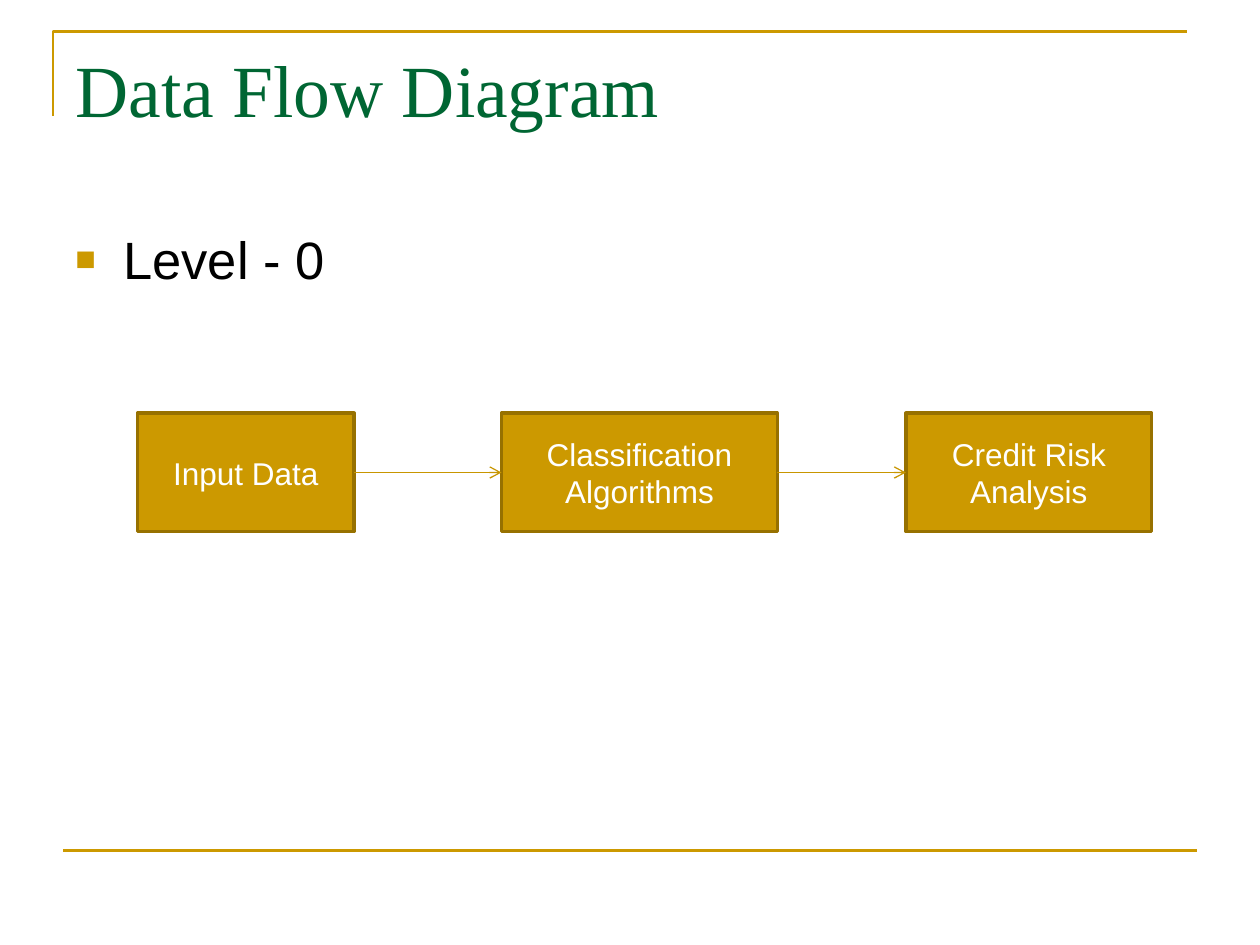
import pptx
import pptx.util
import pptx.dml.color
import pptx.enum.shapes
import pptx.enum.text
import pptx.oxml
import pptx.oxml.ns
import lxml.etree
from dataclasses import dataclass

Inches = pptx.util.Inches
Pt = pptx.util.Pt
qn = pptx.oxml.ns.qn


@dataclass(frozen=True)
class Theme:
    gold: str = "CC9900"
    dark_gold: str = "977100"
    arrow: str = "C89600"
    green: str = "006633"
    black: str = "000000"
    white: str = "FFFFFF"
    serif: str = "Times New Roman"
    sans: str = "Arial"
    title_size: int = 42
    body_size: int = 30
    box_size: int = 18


THEME = Theme()


def rgb(code):
    return pptx.dml.color.RGBColor.from_string(code)


def style_font(para, name, size, color):
    para.font.name = name
    para.font.size = Pt(size)
    para.font.color.rgb = rgb(color)


def style_line(shape, color, width):
    shape.line.color.rgb = rgb(color)
    shape.line.width = Pt(width)


def set_title(page, text):
    title = page.shapes.title
    title.left, title.top = Inches(0.5), Inches(0.3)
    title.width, title.height = Inches(9), Inches(1.25)
    frame = title.text_frame
    frame.text = text
    frame.word_wrap = True
    frame.vertical_anchor = pptx.enum.text.MSO_ANCHOR.TOP
    para = frame.paragraphs[0]
    para.alignment = pptx.enum.text.PP_ALIGN.LEFT
    style_font(para, THEME.serif, THEME.title_size, THEME.green)


def add_corner(page):
    builder = page.shapes.build_freeform(Inches(0.42), Inches(0.92))
    builder.add_line_segments(
        [(Inches(0.42), Inches(0.25)), (Inches(9.42), Inches(0.25))], close=False)
    corner = builder.convert_to_shape()
    corner.shadow.inherit = False
    corner.fill.background()
    style_line(corner, THEME.gold, 1.5)


def add_line(page, start, end, color, width):
    line = page.shapes.add_connector(
        pptx.enum.shapes.MSO_CONNECTOR.STRAIGHT, *map(Inches, start + end))
    style_line(line, color, width)
    lxml.etree.SubElement(line._element.spPr, qn("a:effectLst"))
    return line


def add_bullet_text(page, text):
    body = page.shapes.add_textbox(Inches(0.5), Inches(1.75), Inches(9), Inches(4.95))
    frame = body.text_frame
    frame.word_wrap = True
    para = frame.paragraphs[0]
    para.text = text
    para.space_before = Pt(0.2 * THEME.body_size)
    style_font(para, THEME.sans, THEME.body_size, THEME.black)
    # Square bullet with a hanging indent
    props = para._p.get_or_add_pPr()
    props.set("marL", str(Inches(0.38)))
    props.set("indent", str(Inches(-0.38)))
    color = lxml.etree.Element(qn("a:buClr"))
    lxml.etree.SubElement(color, qn("a:srgbClr"), val=THEME.gold)
    size = lxml.etree.Element(qn("a:buSzPct"), val="65000")
    font = lxml.etree.Element(qn("a:buFont"), typeface=THEME.sans)
    char = lxml.etree.Element(qn("a:buChar"), char="■")
    for element in (color, size, font, char):
        props.find(qn("a:defRPr")).addprevious(element)


def add_box(page, text, left, width):
    box = page.shapes.add_shape(
        pptx.enum.shapes.MSO_SHAPE.RECTANGLE,
        Inches(left), Inches(3.28), Inches(width), Inches(0.94))
    box.shadow.inherit = False
    box.fill.solid()
    box.fill.fore_color.rgb = rgb(THEME.gold)
    style_line(box, THEME.dark_gold, 2)
    frame = box.text_frame
    frame.text = text
    frame.word_wrap = True
    frame.vertical_anchor = pptx.enum.text.MSO_ANCHOR.MIDDLE
    para = frame.paragraphs[0]
    para.alignment = pptx.enum.text.PP_ALIGN.CENTER
    style_font(para, THEME.sans, THEME.box_size, THEME.white)
    return box


def add_arrow(page, source, target):
    arrow = add_line(page, (0, 0), (0, 0), THEME.arrow, 0.75)
    # Right side of one box to the left side of the next
    arrow.begin_connect(source, 3)
    arrow.end_connect(target, 1)
    lxml.etree.SubElement(arrow.line._get_or_add_ln(), qn("a:tailEnd"), type="arrow")


def main():
    deck = pptx.Presentation()
    deck.slide_width, deck.slide_height = Inches(10), Inches(7.5)
    page = deck.slides.add_slide(deck.slide_layouts[5])

    # Frame lines
    add_corner(page)
    add_line(page, (0.5, 6.75), (9.5, 6.75), THEME.gold, 1.5)

    # Title and level
    set_title(page, "Data Flow Diagram")
    add_bullet_text(page, "Level - 0")

    # Flow of boxes
    steps = [
        ("Input Data", 1.09, 1.72),
        ("Classification Algorithms", 3.98, 2.19),
        ("Credit Risk Analysis", 7.19, 1.95),
    ]
    boxes = [add_box(page, *step) for step in steps]
    for source, target in zip(boxes, boxes[1:]):
        add_arrow(page, source, target)

    deck.save("out.pptx")


main()
